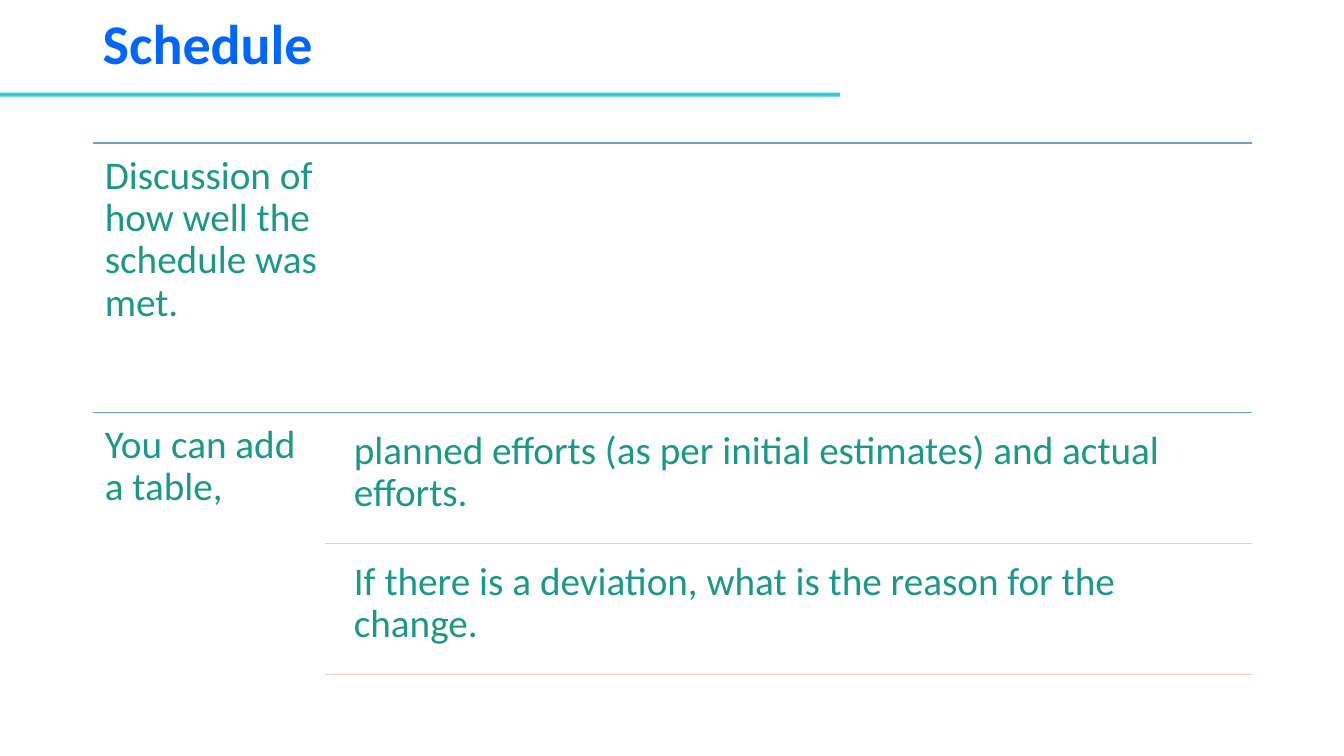
from pptx import Presentation
from pptx.dml.color import RGBColor as RGB
from pptx.enum.shapes import MSO_CONNECTOR as Conn, MSO_SHAPE as Shape
from pptx.enum.text import MSO_ANCHOR as Anchor
from pptx.oxml.ns import qn
from pptx.util import Inches as In, Pt
from lxml import etree

BLUE = RGB(0x00, 0x66, 0xFF)
CYAN = RGB(0x33, 0xCC, 0xCC)
TEAL = RGB(0x1A, 0x99, 0x88)
STEEL = RGB(0x6A, 0xA4, 0xC8)
PEACH = RGB(0xF5, 0xCB, 0xBC)

# Grid: five columns, two rows, two steps in the second row
WIDE, HIGH = 13.33, 7.5
LEFT, TOP = 0.92, 1.42
COL, ROW = 2.3, 2.67
RIGHT = LEFT + 5 * COL
SUB = LEFT + COL
GAP, STEP = 0.06, 1.24
INDENT = 0.17

deck = Presentation()
deck.slide_width, deck.slide_height = In(WIDE), In(HIGH)
slide = deck.slides.add_slide(deck.slide_layouts[6])


def write(text, x, y, w, h, size, color, pad, **form):
    box = slide.shapes.add_textbox(In(x), In(y), In(w), In(h))
    frame = box.text_frame
    frame.word_wrap = True
    for side, inset in zip(("left", "right", "top", "bottom"), pad):
        setattr(frame, f"margin_{side}", In(inset))
    frame.vertical_anchor = form.pop("anchor", Anchor.TOP)
    par = frame.paragraphs[0]
    par.line_spacing = 0.9
    run = par.add_run()
    run.text = text
    run.font.color.rgb = color
    for key, val in {"name": "Calibri", "size": Pt(size), **form}.items():
        setattr(run.font, key, val)


def rule(x, y, color):
    line = slide.shapes.add_connector(
        Conn.STRAIGHT, In(x), In(y), In(RIGHT), In(y))
    line.line.color.rgb = color
    line.line.width = Pt(1)
    etree.SubElement(line._element.spPr, qn("a:effectLst"))


# Title and its bar
bar = slide.shapes.add_shape(
    Shape.RECTANGLE, 0, In(LEFT), In(WIDE * 0.625), In(0.04))
bar.shadow.inherit = False
bar.fill.solid()
bar.fill.fore_color.rgb = CYAN
bar.line.fill.background()
write("Schedule", LEFT, 0, 5 * COL, LEFT, 40, BLUE,
      (0.1, 0.1, 0.05, 0.05), bold=True, anchor=Anchor.MIDDLE)

# Main rows
PAD = (0.12,) * 4
heads = [("Discussion of how well the schedule was met.", COL * 1.1),
         ("You can add a table,", COL)]
for i, (text, w) in enumerate(heads):
    y = TOP + i * ROW
    rule(LEFT, y, STEEL)
    write(text, LEFT, y, w, ROW, 28, TEAL, PAD)

# Steps of the second row
steps = ["planned efforts (as per initial estimates) and actual efforts.",
         "If there is a deviation, what is the reason for the change."]
for i, text in enumerate(steps):
    y = TOP + ROW + GAP + i * (STEP + GAP)
    write(text, SUB + INDENT, y, RIGHT - SUB - INDENT, STEP, 28, TEAL, PAD)
    rule(SUB, y + STEP, PEACH)

deck.save("out.pptx")
